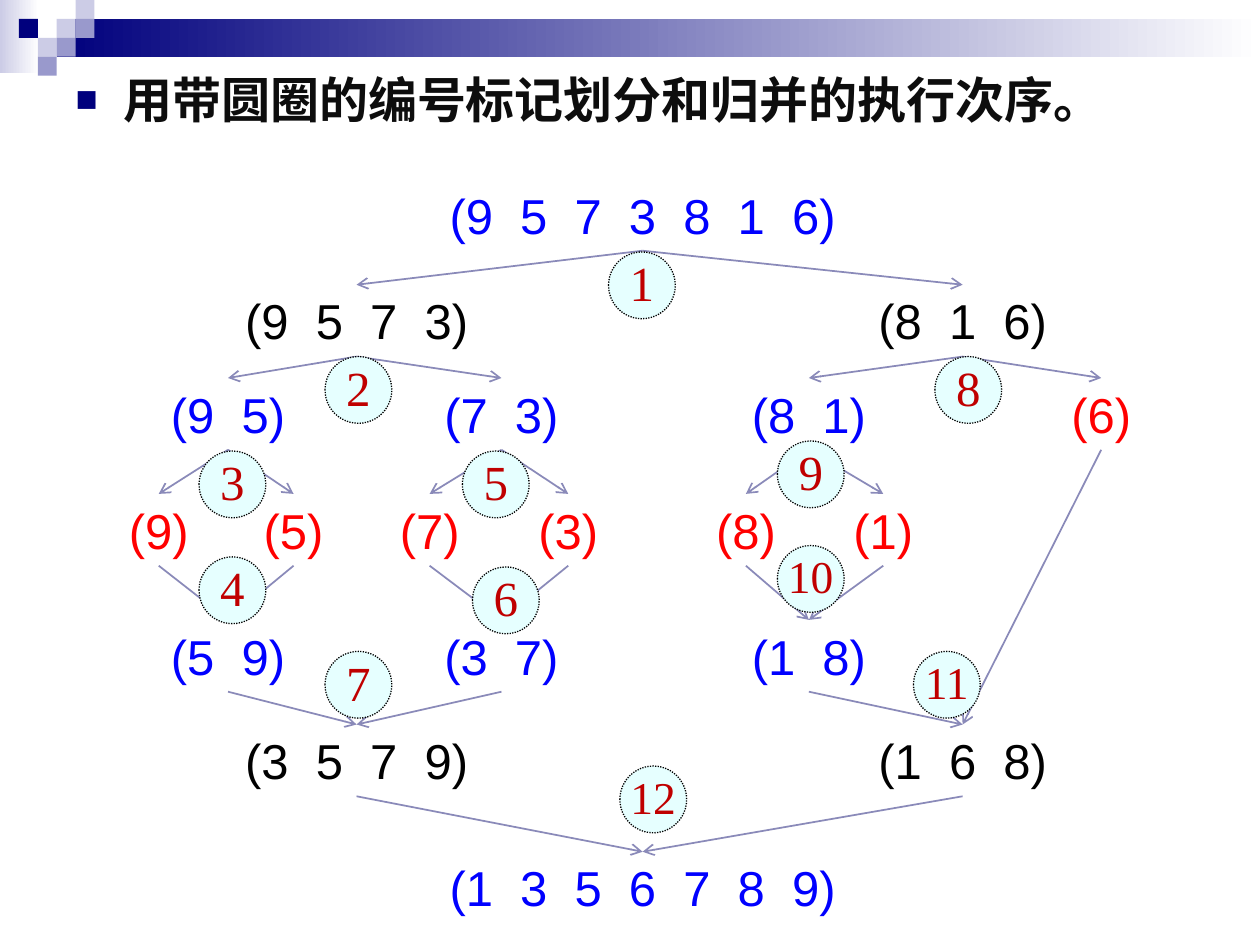
from dataclasses import dataclass

from lxml import etree
from pptx import Presentation
from pptx.dml.color import RGBColor
from pptx.enum.dml import MSO_LINE
from pptx.enum.shapes import MSO_CONNECTOR, MSO_SHAPE
from pptx.enum.text import MSO_ANCHOR, MSO_AUTO_SIZE, PP_ALIGN
from pptx.oxml.ns import qn
from pptx.util import Inches, Pt

RECTANGLE, OVAL = MSO_SHAPE.RECTANGLE, MSO_SHAPE.OVAL
STRAIGHT = MSO_CONNECTOR.STRAIGHT
DOTTED = MSO_LINE.ROUND_DOT
LEFT, CENTER = PP_ALIGN.LEFT, PP_ALIGN.CENTER
MIDDLE = MSO_ANCHOR.MIDDLE
FIT_SHAPE = MSO_AUTO_SIZE.SHAPE_TO_FIT_TEXT

NAVY = RGBColor(0x00, 0x00, 0x7D)
LAVENDER = RGBColor(0xCC, 0xCC, 0xE6)
PERIWINKLE = RGBColor(0x99, 0x99, 0xCC)
WHITE = RGBColor(0xFF, 0xFF, 0xFF)
BLACK = RGBColor(0x00, 0x00, 0x00)
INK = RGBColor(0x0D, 0x0D, 0x0D)
BLUE = RGBColor(0x00, 0x00, 0xFF)
RED = RGBColor(0xFF, 0x00, 0x00)
DARK_RED = RGBColor(0xC0, 0x00, 0x00)
ARROW_GREY = RGBColor(0x8A, 0x8A, 0xB9)
PALE_CYAN = RGBColor(0xE6, 0xFF, 0xFF)

ROW_TOPS = (1.42, 2.26, 3.0, 3.92, 4.92, 5.75, 6.76)
LIST_HEIGHT = 0.57
STEP_SIZE = 0.53
TILE = 0.15


@dataclass(frozen=True)
class NumberList:
    digits: str
    center: float
    row: int
    color: RGBColor

    @property
    def top(self) -> float:
        return ROW_TOPS[self.row]

    @property
    def bottom(self) -> float:
        return self.top + LIST_HEIGHT

    @property
    def width(self) -> float:
        return 0.24 + 0.432 * len(self.digits)


NUMBER_LISTS = (
    NumberList("9573816", 5.1, 0, BLUE),
    NumberList("9573", 2.83, 1, BLACK),
    NumberList("816", 7.64, 1, BLACK),
    NumberList("95", 1.81, 2, BLUE),
    NumberList("73", 3.98, 2, BLUE),
    NumberList("81", 6.42, 2, BLUE),
    NumberList("6", 8.74, 2, RED),
    NumberList("9", 1.26, 3, RED),
    NumberList("5", 2.33, 3, RED),
    NumberList("7", 3.41, 3, RED),
    NumberList("3", 4.51, 3, RED),
    NumberList("8", 5.92, 3, RED),
    NumberList("1", 7.01, 3, RED),
    NumberList("59", 1.81, 4, BLUE),
    NumberList("37", 3.98, 4, BLUE),
    NumberList("18", 6.42, 4, BLUE),
    NumberList("168", 7.64, 5, BLACK),
    NumberList("3579", 2.83, 5, BLACK),
    NumberList("1356789", 5.1, 6, BLUE),
)

# Each list and the lists its elements move on to
FLOWS = {
    "9573816": ("9573", "816"),
    "9573": ("95", "73"), "816": ("81", "6"),
    "95": ("9", "5"), "73": ("7", "3"), "81": ("8", "1"),
    "9": ("59",), "5": ("59",), "7": ("37",), "3": ("37",),
    "8": ("18",), "1": ("18",), "18": ("168",), "6": ("168",),
    "59": ("3579",), "37": ("3579",), "3579": ("1356789",), "168": ("1356789",),
}

# Left and top of the circles, in order of execution
STEP_POSITIONS = (
    (4.83, 2.0), (2.58, 2.83), (1.58, 3.58), (1.58, 4.42),
    (3.67, 3.58), (3.75, 4.5), (2.58, 5.17), (7.42, 2.83),
    (6.17, 3.5), (6.17, 4.33), (7.25, 5.17), (4.92, 6.08),
)

# Column and row on the tile grid of the corner ornament
TILES = (
    (2, 1, LAVENDER), (3, 0, LAVENDER), (3, 1, PERIWINKLE), (1, 2, LAVENDER),
    (0, 1, NAVY), (2, 2, PERIWINKLE), (1, 3, PERIWINKLE),
)


def write_text(frame, text: str, *, color: RGBColor, size: float = 28,
               font: str = "Arial", bold: bool = False, align=CENTER) -> None:
    paragraph = frame.paragraphs[0]
    paragraph.alignment = align
    paragraph.space_before = Pt(0)
    run = paragraph.add_run()
    run.text = text
    run.font.name = font
    run.font.size = Pt(size)
    run.font.bold = bold
    run.font.color.rgb = color


def add_block(slide, kind, left: float, top: float, width: float, height: float):
    block = slide.shapes.add_shape(
        kind, Inches(left), Inches(top), Inches(width), Inches(height))
    block.shadow.inherit = False
    block.line.fill.background()
    return block


def add_fading_bar(slide, left: float, top: float, width: float, height: float,
                   start: RGBColor) -> None:
    fill = add_block(slide, RECTANGLE, left, top, width, height).fill
    fill.gradient()
    fill.gradient_angle = 0
    for stop, position, color in zip(fill.gradient_stops, (0, 1), (start, WHITE)):
        stop.position = position
        stop.color.rgb = color


def add_square_bullet(paragraph) -> None:
    properties = paragraph._p.get_or_add_pPr()
    properties.set("marL", str(Inches(0.38)))
    properties.set("indent", str(-Inches(0.38)))
    bullet_color = etree.SubElement(properties, qn("a:buClr"))
    etree.SubElement(bullet_color, qn("a:srgbClr"), val=str(NAVY))
    etree.SubElement(properties, qn("a:buSzPct"), val="75000")
    etree.SubElement(properties, qn("a:buFont"), typeface="Arial")
    etree.SubElement(properties, qn("a:buChar"), char="■")


def add_number_list(slide, numbers: NumberList) -> None:
    box = slide.shapes.add_textbox(
        Inches(numbers.center - numbers.width / 2), Inches(numbers.top),
        Inches(numbers.width), Inches(LIST_HEIGHT))
    box.text_frame.word_wrap = False
    box.text_frame.auto_size = FIT_SHAPE
    write_text(box.text_frame, f"({'  '.join(numbers.digits)})", color=numbers.color)


def add_arrow(slide, source: NumberList, target: NumberList) -> None:
    arrow = slide.shapes.add_connector(
        STRAIGHT, Inches(source.center), Inches(source.bottom),
        Inches(target.center), Inches(target.top))
    arrow.line.color.rgb = ARROW_GREY
    arrow.line.width = Pt(1)
    etree.SubElement(arrow.line._get_or_add_ln(), qn("a:tailEnd"), type="arrow")
    etree.SubElement(arrow._element.spPr, qn("a:effectLst"))


def add_step(slide, number: int, left: float, top: float) -> None:
    circle = add_block(slide, OVAL, left, top, STEP_SIZE, STEP_SIZE)
    circle.fill.solid()
    circle.fill.fore_color.rgb = PALE_CYAN
    circle.line.color.rgb = BLACK
    circle.line.width = Pt(0.75)
    circle.line.dash_style = DOTTED
    frame = circle.text_frame
    frame.margin_left = frame.margin_top = frame.margin_right = 0
    frame.margin_bottom = Inches(0.05)
    frame.vertical_anchor = MIDDLE
    frame.word_wrap = False
    write_text(frame, str(number), color=DARK_RED, font="Times New Roman",
               size=28 if number < 10 else 26)


def main() -> None:
    deck = Presentation()
    deck.slide_width, deck.slide_height = Inches(10), Inches(7.5)
    slide = deck.slides.add_slide(deck.slide_layouts[1])
    unused_title = slide.shapes.title.element
    unused_title.getparent().remove(unused_title)

    # Statement
    statement = slide.placeholders[1]
    statement.left, statement.top = Inches(0.5), Inches(0.5)
    statement.width, statement.height = Inches(9), Inches(7)
    add_square_bullet(statement.text_frame.paragraphs[0])
    write_text(statement.text_frame, "用带圆圈的编号标记划分和归并的执行次序。",
               color=INK, bold=True, align=LEFT)

    # Header ornament
    add_fading_bar(slide, 0, 0, 0.31, 0.58, LAVENDER)
    add_fading_bar(slide, 0.45, 0.15, 9.55, 0.3, NAVY)
    for column, row, color in TILES:
        tile = add_block(slide, RECTANGLE, (column + 1) * TILE, row * TILE, TILE, TILE)
        tile.fill.solid()
        tile.fill.fore_color.rgb = color

    # Merge sort tree
    for numbers in NUMBER_LISTS:
        add_number_list(slide, numbers)
    by_digits = {numbers.digits: numbers for numbers in NUMBER_LISTS}
    for source, targets in FLOWS.items():
        for target in targets:
            add_arrow(slide, by_digits[source], by_digits[target])

    # Order of execution
    for number, (left, top) in enumerate(STEP_POSITIONS, start=1):
        add_step(slide, number, left, top)

    deck.save("out.pptx")


if __name__ == "__main__":
    main()
